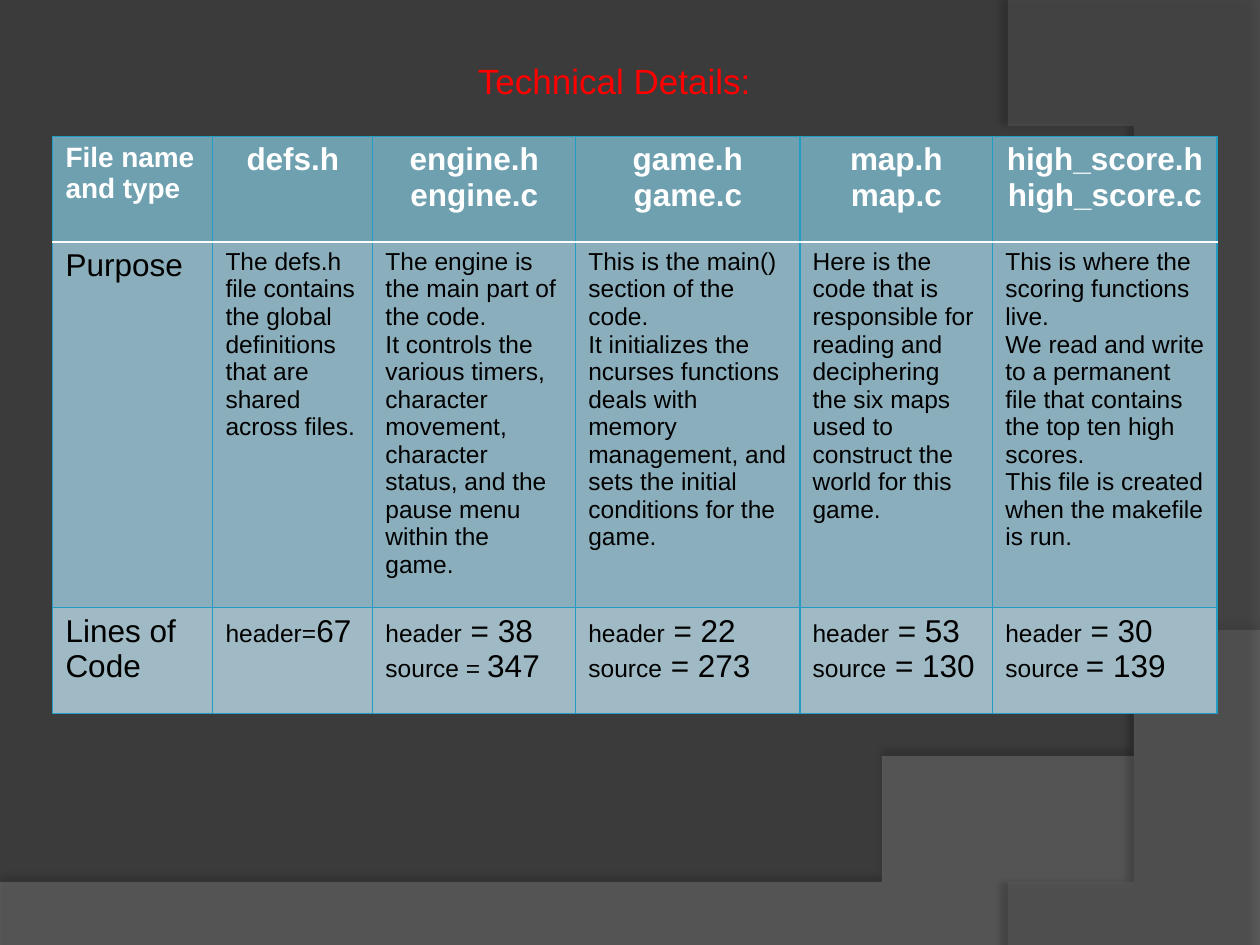
from dataclasses import dataclass
from typing import NamedTuple

import pptx
import pptx.dml.color
import pptx.enum.text
import pptx.oxml
import pptx.oxml.ns
import pptx.util

Inches = pptx.util.Inches
Pt = pptx.util.Pt
RGBColor = pptx.dml.color.RGBColor
Align = pptx.enum.text.PP_ALIGN
Point = tuple[float, float]


@dataclass(frozen=True)
class Theme:
    font: str = "Arial"
    background: str = "3B3B3B"
    title: str = "FF0000"
    header_fill: str = "6EA0B0"
    purpose_fill: str = "8BAEBC"
    lines_fill: str = "9FBAC4"
    header_text: str = "FFFFFF"
    body_text: str = "000000"
    grid: str = "239BC2"
    title_size: int = 20
    large: int = 18
    medium: int = 16
    small: int = 14


THEME = Theme()


class Run(NamedTuple):
    text: str
    size: int


class Border(NamedTuple):
    color: str
    width: float


@dataclass(frozen=True)
class Swoosh:
    """A closed outline: a Bezier curve of four points, then straight corners."""
    curve: tuple[Point, Point, Point, Point]
    corners: list[Point]
    color: str
    opacity: int
    shadow_opacity: int
    shadow_distance: float
    shadow_angle: int


@dataclass(frozen=True)
class SourceFile:
    width: float
    names: list[str]
    purpose: list[str]
    line_counts: list[tuple[str, str]]


@dataclass(frozen=True)
class RowStyle:
    height: float
    fill: str
    text: str
    bold: bool
    align: Align
    top: Border
    bottom: Border


THIN = Border(THEME.grid, 0.75)
HEADER_RULE = Border("FFFFFF", 1.5)

ROWS = [
    RowStyle(0.84, THEME.header_fill, THEME.header_text, True, Align.CENTER, THIN, HEADER_RULE),
    RowStyle(2.9, THEME.purpose_fill, THEME.body_text, False, Align.LEFT, HEADER_RULE, THIN),
    RowStyle(0.84, THEME.lines_fill, THEME.body_text, False, Align.LEFT, THIN, THIN),
]

LABEL_WIDTH = 1.27
LABELS = [
    [[Run("File name", THEME.medium)], [Run("and type", THEME.medium)]],
    [[Run("Purpose", THEME.large)]],
    [[Run("Lines of Code", THEME.large)]],
]

FILES = [
    SourceFile(1.27, ["defs.h"],
               ["The defs.h file contains the global definitions that are shared across files."],
               [("header=", "67")]),
    SourceFile(1.61, ["engine.h", "engine.c"],
               ["The engine is the main part of the code.",
                "It controls the various timers, character movement, character status, "
                "and the pause menu within the game."],
               [("header", " = 38"), ("source = ", "347")]),
    SourceFile(1.78, ["game.h", "game.c"],
               ["This is the main() section of the code.",
                "It initializes the ncurses functions deals with memory management, "
                "and sets the initial conditions for the game."],
               [("header", " = 22"), ("source", " = 273")]),
    SourceFile(1.53, ["map.h", "map.c"],
               ["Here is the code that is responsible for reading and deciphering "
                "the six maps used to construct the world for this game."],
               [("header", " = 53"), ("source", " = 130")]),
    SourceFile(1.78, ["high_score.h", "high_score.c"],
               ["This is where the scoring functions live.",
                "We read and write to a permanent file that contains the top ten high scores.",
                "This file is created when the makefile is run."],
               [("header", " = 30"), ("source ", "= 139")]),
]

SWOOSHES = [
    Swoosh(((10, 5.2), (5.59, 7.29), (3.91, 7.19), (0, 7.05)),
           [(0, 7.5), (10, 7.5)], "7F7F7F", 45, 35, 3.5, 270),
    Swoosh(((8.21, 7.5), (9.35, 6.19), (10.18, 3), (8, 0)),
           [(10, 0.02), (10, 7.5)], "5E5E5E", 40, 45, 4, 180),
]


def bezier_points(curve: tuple[Point, Point, Point, Point], steps: int = 60) -> list[Point]:
    points = []
    for step in range(steps + 1):
        t = step / steps
        weights = ((1 - t) ** 3, 3 * t * (1 - t) ** 2, 3 * t ** 2 * (1 - t), t ** 3)
        points.append(tuple(sum(w * p[axis] for w, p in zip(weights, curve)) for axis in (0, 1)))
    return points


def drawing_xml(markup: str):
    return pptx.oxml.parse_xml(markup.replace(" ", f' {pptx.oxml.ns.nsdecls("a")} ', 1))


def draw_swoosh(slide, swoosh: Swoosh) -> None:
    start, *rest = bezier_points(swoosh.curve) + swoosh.corners
    builder = slide.shapes.build_freeform(*start, scale=float(Inches(1)))
    builder.add_line_segments(rest, close=True)
    shape = builder.convert_to_shape()
    shape.fill.solid()
    shape.fill.fore_color.rgb = RGBColor.from_string(swoosh.color)
    shape.line.fill.background()
    shape.shadow.inherit = False
    properties = shape.element.spPr
    fill_color = properties.find(pptx.oxml.ns.qn("a:solidFill"))[0]
    fill_color.append(drawing_xml(f'<a:alpha val="{swoosh.opacity * 1000}"/>'))
    properties.find(pptx.oxml.ns.qn("a:effectLst")).append(drawing_xml(
        f'<a:outerShdw blurRad="{Pt(4)}" dist="{Pt(swoosh.shadow_distance)}" '
        f'dir="{swoosh.shadow_angle * 60000}" algn="ctr" rotWithShape="0"><a:srgbClr val="000000">'
        f'<a:alpha val="{swoosh.shadow_opacity * 1000}"/></a:srgbClr></a:outerShdw>'))


def write(frame, paragraphs: list[list[Run]], color: str, align: Align, bold: bool = False) -> None:
    for index, runs in enumerate(paragraphs):
        paragraph = frame.add_paragraph() if index else frame.paragraphs[0]
        paragraph.alignment = align
        for text, size in runs:
            run = paragraph.add_run()
            run.text = text
            run.font.color.rgb = RGBColor.from_string(color)
            formats = {"name": THEME.font, "size": Pt(size), "bold": bold}
            for attribute, value in formats.items():
                setattr(run.font, attribute, value)


def set_borders(cell, top: Border, bottom: Border) -> None:
    properties = cell._tc.get_or_add_tcPr()
    borders = {"lnL": THIN, "lnR": THIN, "lnT": top, "lnB": bottom}
    for index, (tag, border) in enumerate(borders.items()):
        properties.insert(index, drawing_xml(
            f'<a:{tag} w="{Pt(border.width)}"><a:solidFill>'
            f'<a:srgbClr val="{border.color}"/></a:solidFill></a:{tag}>'))


def file_cells(file: SourceFile) -> list[list[list[Run]]]:
    """Paragraphs for the name, purpose and line count of one file."""
    return [
        [[Run(name, THEME.large)] for name in file.names],
        [[Run(sentence, THEME.small)] for sentence in file.purpose],
        [[Run(kind, THEME.small), Run(count, THEME.large)] for kind, count in file.line_counts],
    ]


def draw_file_table(slide) -> None:
    widths = [LABEL_WIDTH] + [file.width for file in FILES]
    columns = [LABELS] + [file_cells(file) for file in FILES]
    table = slide.shapes.add_table(
        len(ROWS), len(columns), Inches(0.42), Inches(1.08),
        Inches(sum(widths)), Inches(sum(row.height for row in ROWS))).table
    for column, width in zip(table.columns, widths):
        column.width = Inches(width)
    for r, style in enumerate(ROWS):
        table.rows[r].height = Inches(style.height)
        for c, column in enumerate(columns):
            cell = table.cell(r, c)
            cell.fill.solid()
            cell.fill.fore_color.rgb = RGBColor.from_string(style.fill)
            set_borders(cell, style.top, style.bottom)
            align = style.align if c else Align.LEFT
            write(cell.text_frame, column[r], style.text, align, style.bold)


def main() -> None:
    deck = pptx.Presentation()
    deck.slide_width, deck.slide_height = Inches(10), Inches(7.5)
    slide = deck.slides.add_slide(deck.slide_layouts[6])
    slide.background.fill.solid()
    slide.background.fill.fore_color.rgb = RGBColor.from_string(THEME.background)
    for swoosh in SWOOSHES:
        draw_swoosh(slide, swoosh)
    title = slide.shapes.add_textbox(Inches(3.25), Inches(0.42), Inches(3.33), Inches(0.44)).text_frame
    title.word_wrap = True
    write(title, [[Run("Technical Details: ", THEME.title_size)]], THEME.title, Align.CENTER)
    draw_file_table(slide)
    deck.save("out.pptx")


if __name__ == "__main__":
    main()
